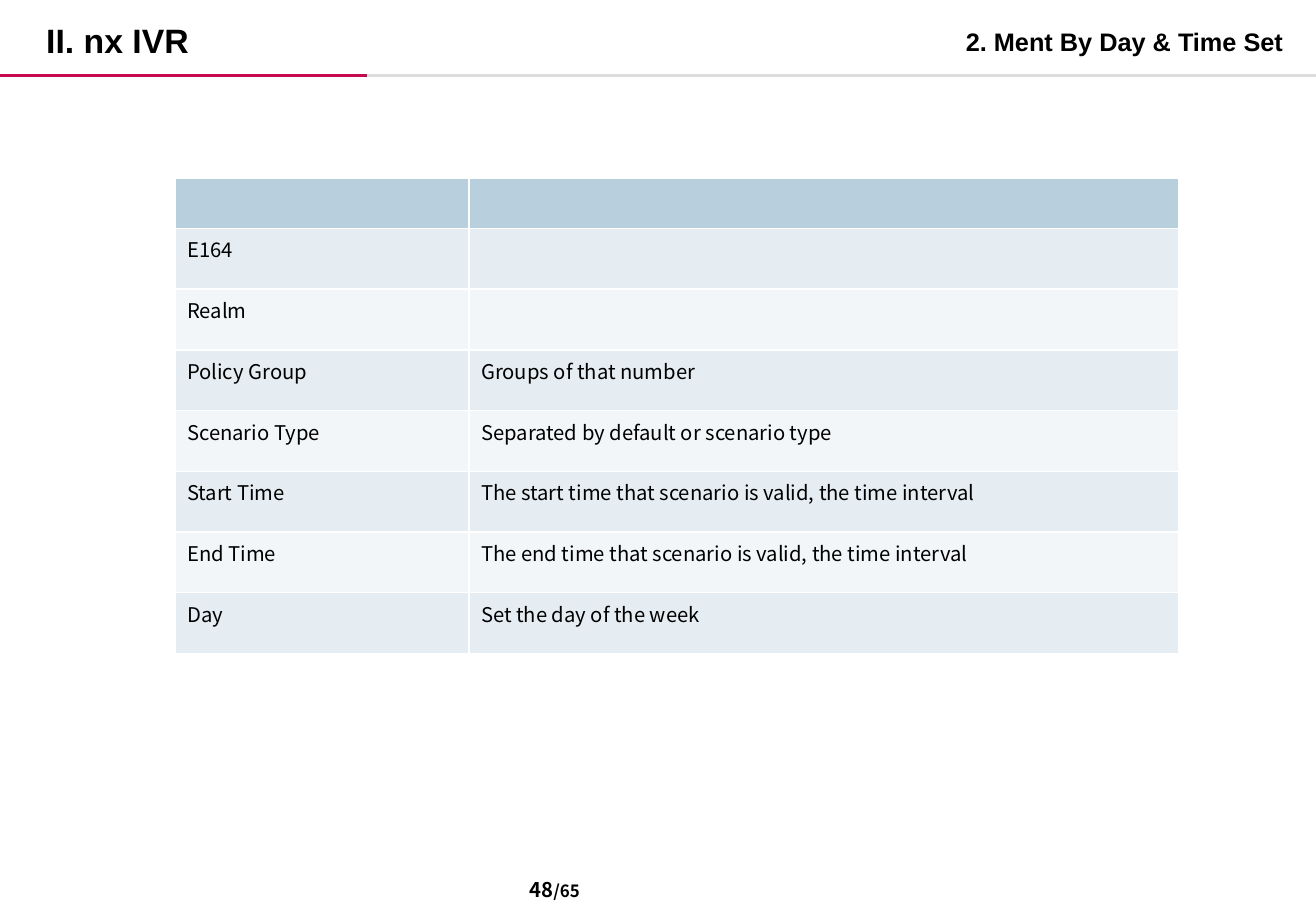
from lxml import etree
from pptx import Presentation
from pptx.dml.color import RGBColor
from pptx.enum.shapes import MSO_CONNECTOR
from pptx.enum.text import MSO_ANCHOR, MSO_AUTO_SIZE, PP_ALIGN
from pptx.oxml.ns import qn
from pptx.util import Inches, Pt

STRAIGHT = MSO_CONNECTOR.STRAIGHT
TOP, MIDDLE = MSO_ANCHOR.TOP, MSO_ANCHOR.MIDDLE
NO_FIT = MSO_AUTO_SIZE.NONE
LEFT = PP_ALIGN.LEFT

BLACK = RGBColor(0x00, 0x00, 0x00)
CRIMSON = RGBColor(0xC7, 0x09, 0x52)
GREY = RGBColor(0xDD, 0xDD, 0xDD)
HEADER_FILL = RGBColor(0xB8, 0xCF, 0xDE)
BAND_FILLS = (RGBColor(0xE6, 0xED, 0xF2), RGBColor(0xF3, 0xF6, 0xF9))

HEADING_FONT = "Arial"
BODY_FONT = "Noto Sans CJK KR"
SLIDE_W, SLIDE_H = 10.83, 7.5

FIELDS = [
    ("E164", ""),
    ("Realm", ""),
    ("Policy Group", "Groups of that number"),
    ("Scenario Type", "Separated by default or scenario type"),
    ("Start Time", "The start time that scenario is valid, the time interval"),
    ("End Time", "The end time that scenario is valid, the time interval"),
    ("Day", "Set the day of the week"),
]


def style_run(r, font, size, bold):
    """Format one run in black."""
    r.font.name = font
    r.font.size = Pt(size)
    r.font.bold = bold
    r.font.color.rgb = BLACK


def place_heading(sp, left, top, width, height, text, size):
    """Place a bold heading in the given box."""
    sp.left, sp.top = Inches(left), Inches(top)
    sp.width, sp.height = Inches(width), Inches(height)
    tf = sp.text_frame
    tf.text = text
    tf.word_wrap = True
    tf.auto_size = NO_FIT
    tf.vertical_anchor = TOP
    p = tf.paragraphs[0]
    p.alignment = LEFT
    p.line_spacing = 1.2
    p.space_before = Pt(0)
    style_run(p.runs[0], HEADING_FONT, size, True)


def add_rule(slide, start, end, y, color):
    """Draw a horizontal rule."""
    line = slide.shapes.add_connector(
        STRAIGHT, Inches(start), Inches(y), Inches(end), Inches(y))
    line.line.color.rgb = color
    line.line.width = Pt(1.5)
    etree.SubElement(line._element.spPr, qn("a:effectLst"))


def add_header(slide, left, top, width):
    """Draw the two-tone rule and both headings above it."""
    split, y = left + 3.02, top + 0.62
    add_rule(slide, left, split, y, CRIMSON)
    add_rule(slide, split, left + width, y, GREY)
    place_heading(slide.shapes.title, left + 0.28, top + 0.05, 3.37, 0.46,
                  "II. nx IVR", 20)
    section = slide.shapes.add_textbox(0, 0, 0, 0)
    place_heading(section, left + 7.85, top + 0.12, 2.84, 0.4,
                  "2. Ment By Day & Time Set", 15)


def add_field_table(slide, left, top, width, height):
    """Draw the banded table of fields under an empty header row."""
    header_h, name_w = 0.41, 2.42
    rows = [("", "")] + FIELDS
    table = slide.shapes.add_table(
        len(rows), 2, Inches(left), Inches(top),
        Inches(width), Inches(height)).table
    table.horz_banding = False
    table.columns[0].width = Inches(name_w)
    table.columns[1].width = Inches(width - name_w)
    for i, values in enumerate(rows):
        row_h = (height - header_h) / len(FIELDS) if i else header_h
        table.rows[i].height = Inches(row_h)
        for cell, value in zip(table.rows[i].cells, values):
            cell.fill.solid()
            cell.fill.fore_color.rgb = BAND_FILLS[(i - 1) % 2] if i else HEADER_FILL
            if value:
                cell.text = value
                style_run(cell.text_frame.paragraphs[0].runs[0],
                          BODY_FONT, 12, False)


def add_page_number(slide, left, top, width, height):
    """Write the page number and the page count."""
    sp = slide.shapes.add_textbox(
        Inches(left), Inches(top), Inches(width), Inches(height))
    tf = sp.text_frame
    tf.word_wrap = True
    tf.vertical_anchor = MIDDLE
    p = tf.paragraphs[0]
    for text, size in (("48", 12), ("/65", 10)):
        r = p.add_run()
        r.text = text
        style_run(r, BODY_FONT, size, True)


def main():
    """Build and save the slide."""
    prs = Presentation()
    prs.slide_width, prs.slide_height = Inches(SLIDE_W), Inches(SLIDE_H)
    slide = prs.slides.add_slide(prs.slide_layouts[5])
    add_header(slide, 0, 0, SLIDE_W)
    add_field_table(slide, 1.44, 1.47, 8.26, 3.91)
    add_page_number(slide, 4.26, 7.2, 2.26, 0.25)
    prs.save("out.pptx")


if __name__ == "__main__":
    main()
